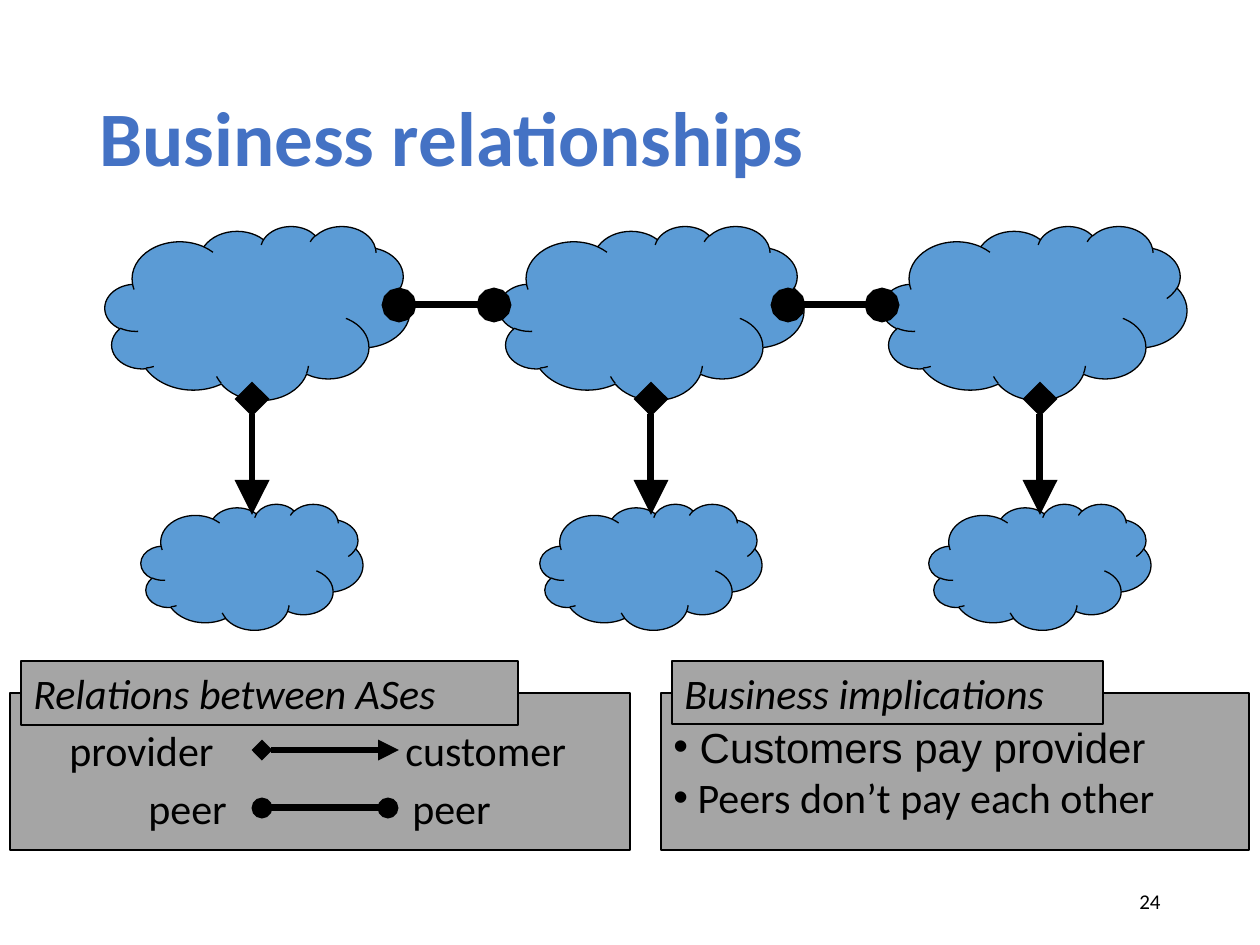
from lxml import etree
from pptx import Presentation, util as u
from pptx.dml.color import RGBColor
from pptx.enum import shapes, text
from pptx.oxml.ns import qn

SCALE = 914400 / 126
COLORS = {"ink": "000000", "title": "4472C4", "cloud": "5B9BD5", "panel": "A5A5A5"}

# Each column: centre of its arrow, left edge of its provider cloud
COLUMNS = [(252, 105), (651, 499), (1040, 882)]
PROVIDER_TOP, PROVIDER_SIZE = 226, (305, 174)
CUSTOMER_TOP, CUSTOMER_SIZE = 504, (222, 126)
PEER_LINKS = [(399, 494), (788, 882)]
PEER_Y = 305
PAYMENT_Y = (399, 515)

CUSTOMER_ENDS = ("diamond", "triangle")
PEER_ENDS = ("oval", "oval")
# line start and end, its ends, then each label with left, top and width
LEGEND = [
    ((262, 750), (399, 750), CUSTOMER_ENDS,
     [("provider", 57, 718, 195), ("customer", 393, 718, 217)]),
    ((262, 808), (388, 808), PEER_ENDS,
     [("peer", 136, 776, 115), ("peer", 400, 776, 115)]),
]
RELATIONS_PANEL = (10, 693, 620, 157)
RELATIONS_TAB = ("Relations between ASes", (21, 661, 497, 64))
IMPLICATIONS_PANEL = (661, 693, 588, 157)
IMPLICATIONS_TAB = ("Business implications", (672, 661, 431, 63))
IMPLICATIONS = [(" Customers pay provider", "Arial"),
                (" Peers don\u2019t pay each other", "Calibri")]


def px(*lengths):
    """Turn pixels into EMU."""
    return [u.Emu(round(length * SCALE)) for length in lengths]


def rgb(name):
    """Look up a colour by name."""
    return RGBColor.from_string(COLORS[name])


def add_outlined(kind, box, fill):
    """Add a filled shape with a thin black outline."""
    shape = slide.shapes.add_shape(kind, *px(*box))
    shape.shadow.inherit = False
    shape.fill.solid()
    shape.fill.fore_color.rgb = rgb(fill)
    shape.line.color.rgb = rgb("ink")
    shape.line.width = u.Pt(0.75)
    return shape


def write(shape, lines, size=24, color="ink", bold=None, italic=None,
          align=text.PP_ALIGN.LEFT, anchor=text.MSO_ANCHOR.TOP):
    """Write (wording, font) lines as paragraphs and return them."""
    frame = shape.text_frame
    frame.word_wrap = True
    frame.vertical_anchor = anchor
    for index, (wording, font) in enumerate(lines):
        paragraph = frame.add_paragraph() if index else frame.paragraphs[0]
        paragraph.alignment = align
        run = paragraph.add_run()
        run.text = wording
        run.font.name = font
        run.font.size = u.Pt(size)
        run.font.bold, run.font.italic = bold, italic
        run.font.color.rgb = rgb(color)
    return frame.paragraphs


def add_label(wording, box, **style):
    """Add a text box with one line."""
    return write(slide.shapes.add_textbox(*px(*box)), [(wording, "Calibri")], **style)


def add_tab(wording, box):
    """Add the italic heading of a panel."""
    write(add_outlined(shapes.MSO_SHAPE.RECTANGLE, box, "panel"),
          [(wording, "Calibri")], italic=True)


def add_link(start, end, ends, size):
    """Add a thick line with a marker at each end."""
    link = slide.shapes.add_connector(shapes.MSO_CONNECTOR.STRAIGHT, *px(*start, *end))
    link.line.color.rgb = rgb("ink")
    link.line.width = u.Pt(4)
    line = link.line._get_or_add_ln()
    for tag, marker in zip(("a:headEnd", "a:tailEnd"), ends):
        etree.SubElement(line, qn(tag), type=marker, w=size, len=size)
    etree.SubElement(link._element.spPr, qn("a:effectLst"))


deck = Presentation()
deck.slide_width, deck.slide_height = px(1260, 945)
slide = deck.slides.add_slide(deck.slide_layouts[6])

add_outlined(shapes.MSO_SHAPE.RECTANGLE, RELATIONS_PANEL, "panel")
title = add_label("Business relationships", (87, 50, 1086, 183), size=44,
                  color="title", bold=True, anchor=text.MSO_ANCHOR.MIDDLE)
title[0].line_spacing = 0.9

for center, provider_left in COLUMNS:
    customer_left = center - CUSTOMER_SIZE[0] / 2
    for left, top, size in ((customer_left, CUSTOMER_TOP, CUSTOMER_SIZE),
                            (provider_left, PROVIDER_TOP, PROVIDER_SIZE)):
        add_outlined(shapes.MSO_SHAPE.CLOUD, (left, top, *size), "cloud")
for left, right in PEER_LINKS:
    add_link((left, PEER_Y), (right, PEER_Y), PEER_ENDS, "lg")
for center, _ in COLUMNS:
    add_link((center, PAYMENT_Y[0]), (center, PAYMENT_Y[1]), CUSTOMER_ENDS, "lg")

for start, end, ends, labels in LEGEND:
    add_link(start, end, ends, "med")
    for wording, left, top, width in labels:
        add_label(wording, (left, top, width, 64))
add_tab(*RELATIONS_TAB)

implications = add_outlined(shapes.MSO_SHAPE.RECTANGLE, IMPLICATIONS_PANEL, "panel")
for paragraph in write(implications, IMPLICATIONS, anchor=text.MSO_ANCHOR.MIDDLE):
    properties = paragraph._p.get_or_add_pPr()
    etree.SubElement(properties, qn("a:buFont"), typeface="Arial")
    etree.SubElement(properties, qn("a:buChar"), char="\u2022")
add_tab(*IMPLICATIONS_TAB)

add_label("24", (890, 876, 283, 50), size=12, align=text.PP_ALIGN.RIGHT,
          anchor=text.MSO_ANCHOR.MIDDLE)

deck.save("out.pptx")
